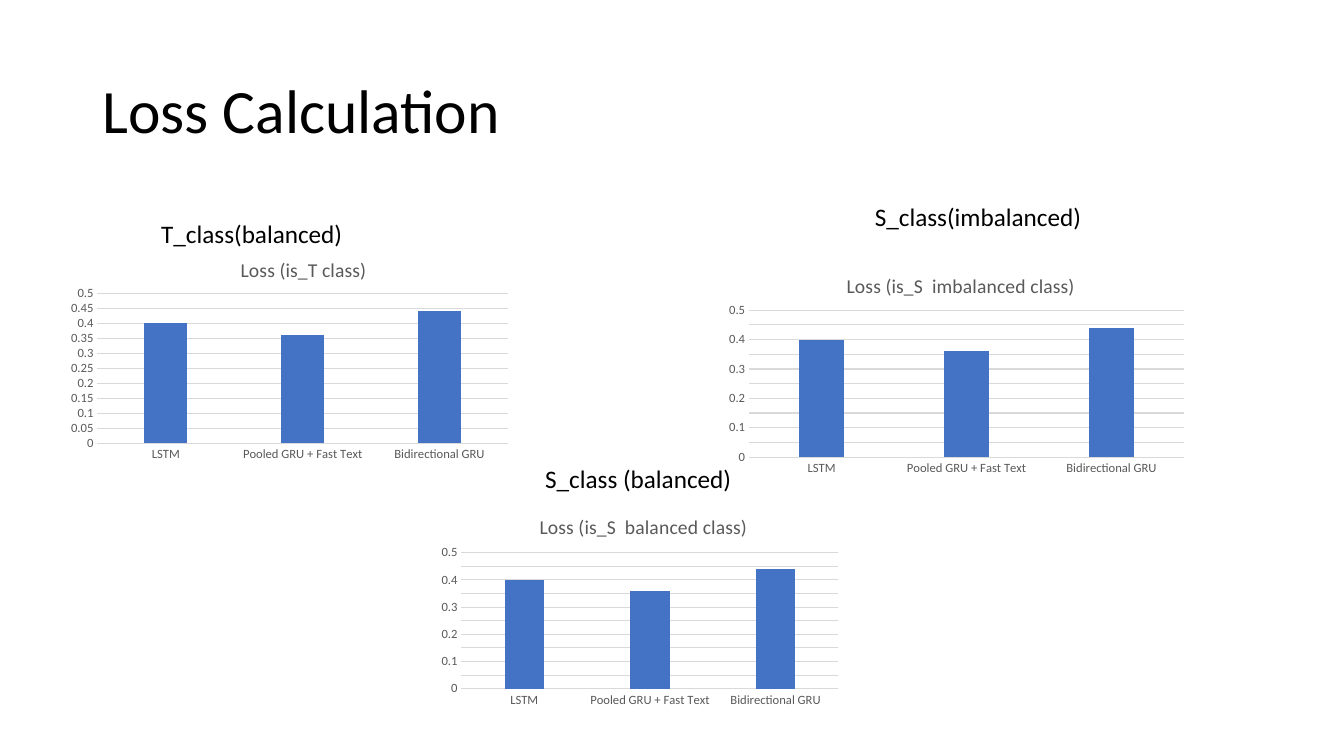
from lxml import etree
from pptx import Presentation, util as u
from pptx.chart.data import CategoryChartData
from pptx.dml.color import RGBColor
from pptx.enum import chart as charts, text
from pptx.oxml.ns import qn

FONT = "Calibri"
BLACK, GREY, RULE, BLUE = "000000", "595959", "D9D9D9", "4472C4"
CATEGORIES = ["LSTM", "Pooled GRU + Fast Text", "Bidirectional GRU"]
LOSSES = [0.4, 0.36, 0.44]

# heading, its box, chart title, title width, chart box, plot area as fractions
PANELS = [
    ("T_class(balanced)", (108, 152.6, 145.4, 29),
     "Loss (is_T class)", 90, (46, 170, 337, 165),
     (0.07, 0.24, 0.87, 0.65)),
    ("S_class(imbalanced)", (617.8, 140.4, 163.4, 29),
     "Loss (is_S  imbalanced class)", 163, (514.8, 181.4, 337.7, 161.3),
     (0.06, 0.25, 0.92, 0.65)),
    ("S_class (balanced)", (382.3, 327.6, 149, 29),
     "Loss (is_S  balanced class)", 148, (308.9, 353.5, 295.9, 164.9),
     (0.07, 0.25, 0.91, 0.59)),
]


def color(value):
    return RGBColor.from_string(value)


def style_font(font, size, fill):
    font.name, font.size, font.bold = FONT, u.Pt(size), False
    font.color.rgb = color(fill)


def add_text(slide, content, box, size=18, fill=BLACK, wrap=False,
             anchor=text.MSO_ANCHOR.TOP, spacing=1.0):
    shape = slide.shapes.add_textbox(*map(u.Pt, box))
    frame = shape.text_frame
    frame.word_wrap, frame.vertical_anchor = wrap, anchor
    paragraph = frame.paragraphs[0]
    paragraph.line_spacing = spacing
    run = paragraph.add_run()
    run.text = content
    style_font(run.font, size, fill)


def set_layout(parent, index, **settings):
    """Place a chart part by hand, in fractions of the chart."""
    for old in parent.findall(qn("c:layout")):
        parent.remove(old)
    layout = etree.Element(qn("c:layout"))
    manual = etree.SubElement(layout, qn("c:manualLayout"))
    for name, value in settings.items():
        etree.SubElement(manual, qn(f"c:{name}")).set("val", str(value))
    parent.insert(index, layout)


def add_chart_title(chart, content, width, box):
    chart.has_title = True
    title = chart.chart_title
    title.include_in_layout = False
    run = title.text_frame.paragraphs[0].add_run()
    run.text = content
    style_font(run.font, 14, GREY)
    set_layout(title._element, 1, xMode="edge", yMode="edge",
               x=round((1 - width / box[2]) / 2, 3),
               y=round(10.5 / box[3], 3))


def style_axes(chart):
    for axis in (chart.category_axis, chart.value_axis):
        axis.major_tick_mark = axis.minor_tick_mark = charts.XL_TICK_MARK.NONE
        style_font(axis.tick_labels.font, 9, GREY)
    values = chart.value_axis
    values.minimum_scale, values.maximum_scale, values.major_unit = 0, 0.5, 0.05
    values.format.line.fill.background()
    values.has_major_gridlines = True
    for rule in (chart.category_axis.format.line,
                 values.major_gridlines.format.line):
        rule.color.rgb = color(RULE)
        rule.width = u.Pt(0.75)


def add_loss_chart(slide, title, title_width, box, plot_area):
    data = CategoryChartData()
    data.categories = CATEGORIES
    data.add_series("Series 1", LOSSES)
    chart = slide.shapes.add_chart(charts.XL_CHART_TYPE.COLUMN_CLUSTERED,
                                   *map(u.Pt, box), data).chart
    style_font(chart.font, 10, BLACK)
    chart.has_legend = False
    add_chart_title(chart, title, title_width, box)
    style_axes(chart)
    plot = chart.plots[0]
    plot.gap_width, plot.overlap, plot.vary_by_categories = 219, -27, False
    bars = plot.series[0].format.fill
    bars.solid()
    bars.fore_color.rgb = color(BLUE)
    x, y, w, h = plot_area
    set_layout(chart._chartSpace.find(".//" + qn("c:plotArea")), 0,
               layoutTarget="inner", xMode="edge", yMode="edge",
               x=x, y=y, w=w, h=h)


def add_panel(slide, heading, heading_box, title, title_width, box, plot_area):
    add_loss_chart(slide, title, title_width, box, plot_area)
    add_text(slide, heading, heading_box)


def main():
    presentation = Presentation()
    presentation.slide_width, presentation.slide_height = u.Pt(960), u.Pt(540)
    slide = presentation.slides.add_slide(presentation.slide_layouts[6])
    add_text(slide, "Loss Calculation", (66, 28.8, 828, 104.4), size=44,
             wrap=True, anchor=text.MSO_ANCHOR.MIDDLE, spacing=0.9)
    for panel in PANELS:
        add_panel(slide, *panel)
    presentation.save("out.pptx")


if __name__ == "__main__":
    main()
